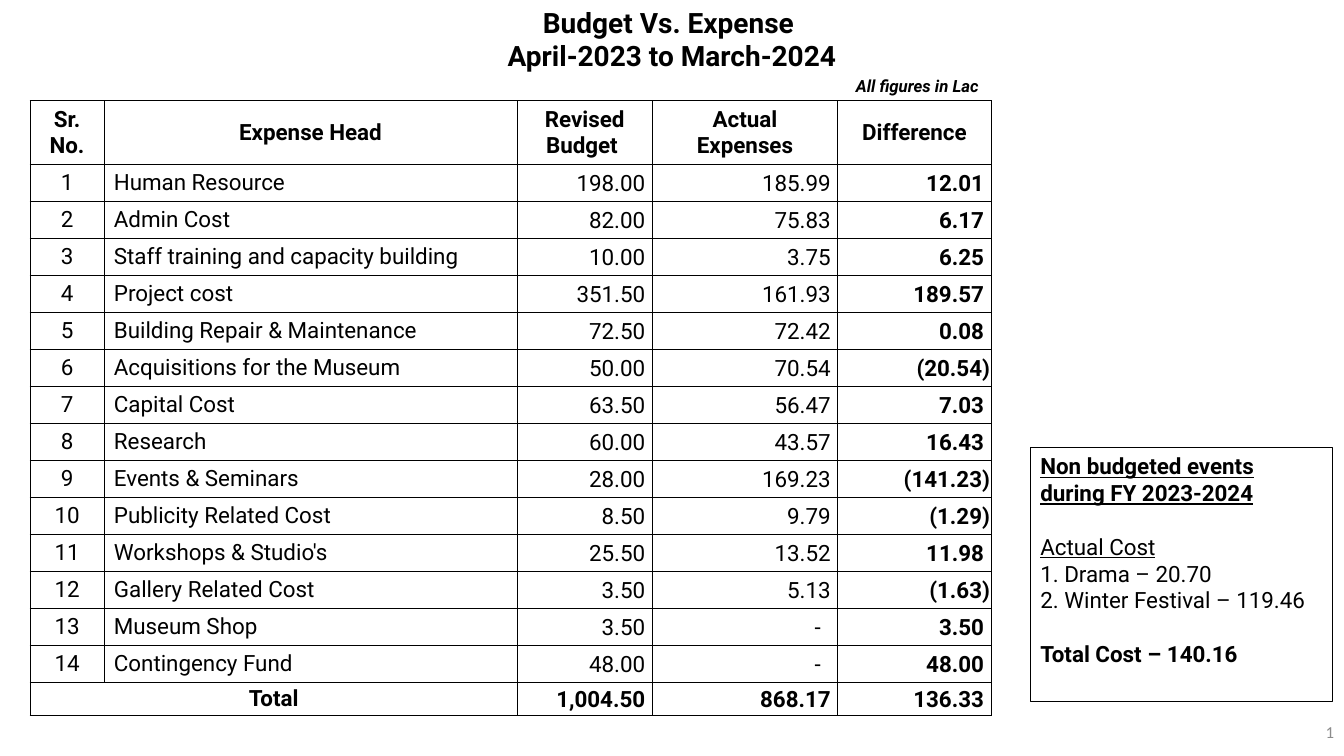
from pptx import Presentation
from pptx.dml.color import RGBColor
from pptx.enum.shapes import MSO_SHAPE as Shape
from pptx.enum.text import MSO_ANCHOR as Anchor, MSO_AUTO_SIZE as Fit, PP_ALIGN as Align
from pptx.oxml import parse_xml
from pptx.oxml.ns import nsdecls
from pptx.util import Inches, Pt

BLACK = RGBColor(0, 0, 0)
GREY = RGBColor(0x8C, 0x8C, 0x8C)
HEADS = ["Sr.\vNo.", "Expense Head", "Revised Budget ", "Actual Expenses", "Difference"]
COSTS = [
    ("Human Resource", "198.00", "185.99", "12.01"),
    ("Admin Cost", "82.00", "75.83", "6.17"),
    ("Staff training and capacity building", "10.00", "3.75", "6.25"),
    ("Project cost", "351.50", "161.93", "189.57"),
    ("Building Repair & Maintenance", "72.50", "72.42", "0.08"),
    ("Acquisitions for the Museum", "50.00", "70.54", "(20.54)"),
    ("Capital Cost", "63.50", "56.47", "7.03"),
    ("Research", "60.00", "43.57", "16.43"),
    ("Events & Seminars", "28.00", "169.23", "(141.23)"),
    ("Publicity Related Cost", "8.50", "9.79", "(1.29)"),
    ("Workshops & Studio's", "25.50", "13.52", "11.98"),
    ("Gallery Related Cost", "3.50", "5.13", "(1.63)"),
    ("Museum Shop", "3.50", "-", "3.50"),
    ("Contingency Fund", "48.00", "-", "48.00"),
]
TOTAL = ("Total", "", "1,004.50", "868.17", "136.33")
WIDTHS = [0.73, 4.1, 1.34, 1.84, 1.52]
HEAD_H, ROW_H, TOTAL_H = 0.62, 0.35, 0.33
NOTE = [  # text, format, space before
    ("Non budgeted events during FY 2023-2024", {"bold": True, "underline": True}, 0),
    ("Actual Cost", {"underline": True}, 19),
    ("1. Drama – 20.70", {}, 0),
    ("2. Winter Festival – 119.46", {}, 0),
    ("Total Cost – 140.16", {"bold": True}, 19),
]


def style(para, align=Align.LEFT, color=BLACK, **look):
    para.alignment = align
    para.font.color.rgb = color
    for key, val in ({"name": "Roboto", "size": Pt(16), "bold": False} | look).items():
        setattr(para.font, key, val)


def place(shape, box):
    for key, val in zip(("left", "top", "width", "height"), box):
        setattr(shape, key, Inches(val))


def add_title(slide, box):
    title = slide.shapes.title
    place(title, box)
    frame = title.text_frame
    frame.auto_size = Fit.NONE
    frame.vertical_anchor = Anchor.TOP
    frame.text = "Budget Vs. Expense \nApril-2023 to March-2024"
    for para in frame.paragraphs:
        style(para, Align.CENTER, size=Pt(20), bold=True)


def add_label(slide, box, text, wrap=True, anchor=Anchor.TOP, **look):
    frame = slide.shapes.add_textbox(*map(Inches, box)).text_frame
    frame.word_wrap = wrap
    frame.vertical_anchor = anchor
    frame.text = text
    style(frame.paragraphs[0], **look)


def add_lines(cell, first):
    """Border a cell, with a heavier left edge in the first column."""
    props = cell._tc.get_or_add_tcPr()
    for pos, side in enumerate(("lnL", "lnR", "lnT", "lnB")):
        width = Pt(1 if first and side == "lnL" else 0.5)
        props.insert(pos, parse_xml(
            f'<a:{side} {nsdecls("a")} w="{width}"><a:solidFill>'
            f'<a:srgbClr val="{BLACK}"/></a:solidFill></a:{side}>'))


def set_pads(cell, left, top, right, bottom):
    pads = {"left": left, "top": top, "right": right, "bottom": bottom}
    for side, val in pads.items():
        setattr(cell, f"margin_{side}", Inches(val))


def fill_cell(cell, text, row, col, last):
    cell.text = text
    cell.vertical_anchor = Anchor.MIDDLE
    cell.fill.background()
    add_lines(cell, col == 0)
    align = Align.CENTER
    if row and col == 0:
        set_pads(cell, 0, 0, 0, 0)
    elif row and col == 1:
        align = Align.LEFT
    elif row:
        align = Align.RIGHT
        # Brackets hang past the digits; dashes sit further in
        gap = 0.01 if text.endswith(")") else 0.17 if text == "-" else 0.07
        set_pads(cell, 0.01, 0.01, gap, 0)
    bold = row in (0, last) or col == 4
    for para in cell.text_frame.paragraphs:
        style(para, align, bold=bold)


def add_budget(slide, left, top):
    rows = [HEADS, *((str(n), *cost) for n, cost in enumerate(COSTS, 1)), TOTAL]
    tall = [HEAD_H] + [ROW_H] * len(COSTS) + [TOTAL_H]
    box = map(Inches, (left, top, sum(WIDTHS), sum(tall)))
    table = slide.shapes.add_table(len(rows), len(WIDTHS), *box).table
    table.first_row = table.horz_banding = False
    for col, width in zip(table.columns, WIDTHS):
        col.width = Inches(width)
    last = len(rows) - 1
    for r, (row, height) in enumerate(zip(rows, tall)):
        table.rows[r].height = Inches(height)
        for c, text in enumerate(row):
            fill_cell(table.cell(r, c), text, r, c, last)
    table.cell(last, 0).merge(table.cell(last, 1))


def add_note(slide, box):
    note = slide.shapes.add_shape(Shape.RECTANGLE, *map(Inches, box))
    note.shadow.inherit = False
    note.fill.background()
    note.line.color.rgb = BLACK
    note.line.width = Pt(0.75)
    frame = note.text_frame
    frame.word_wrap = True
    frame.vertical_anchor = Anchor.TOP
    frame.text = "\n".join(text for text, _, _ in NOTE)
    for para, (_, look, gap) in zip(frame.paragraphs, NOTE):
        style(para, **look)
        if gap:
            para.space_before = Pt(gap)


def main():
    deck = Presentation()
    deck.slide_width, deck.slide_height = Inches(13.33), Inches(7.5)
    slide = deck.slides.add_slide(deck.slide_layouts[5])
    add_label(slide, (10.33, 7.06, 3, 0.4), "1", anchor=Anchor.MIDDLE,
              align=Align.RIGHT, color=GREY, name="Calibri", size=Pt(12))
    add_budget(slide, 0.3, 1)
    add_title(slide, (0, 0, 13.33, 0.77))
    add_label(slide, (8.39, 0.7, 1.54, 0.3), "All figures in Lac", wrap=False,
              size=Pt(12), bold=True, italic=True)
    add_note(slide, (10.22, 4.44, 3, 2.52))
    deck.save("out.pptx")


if __name__ == "__main__":
    main()
